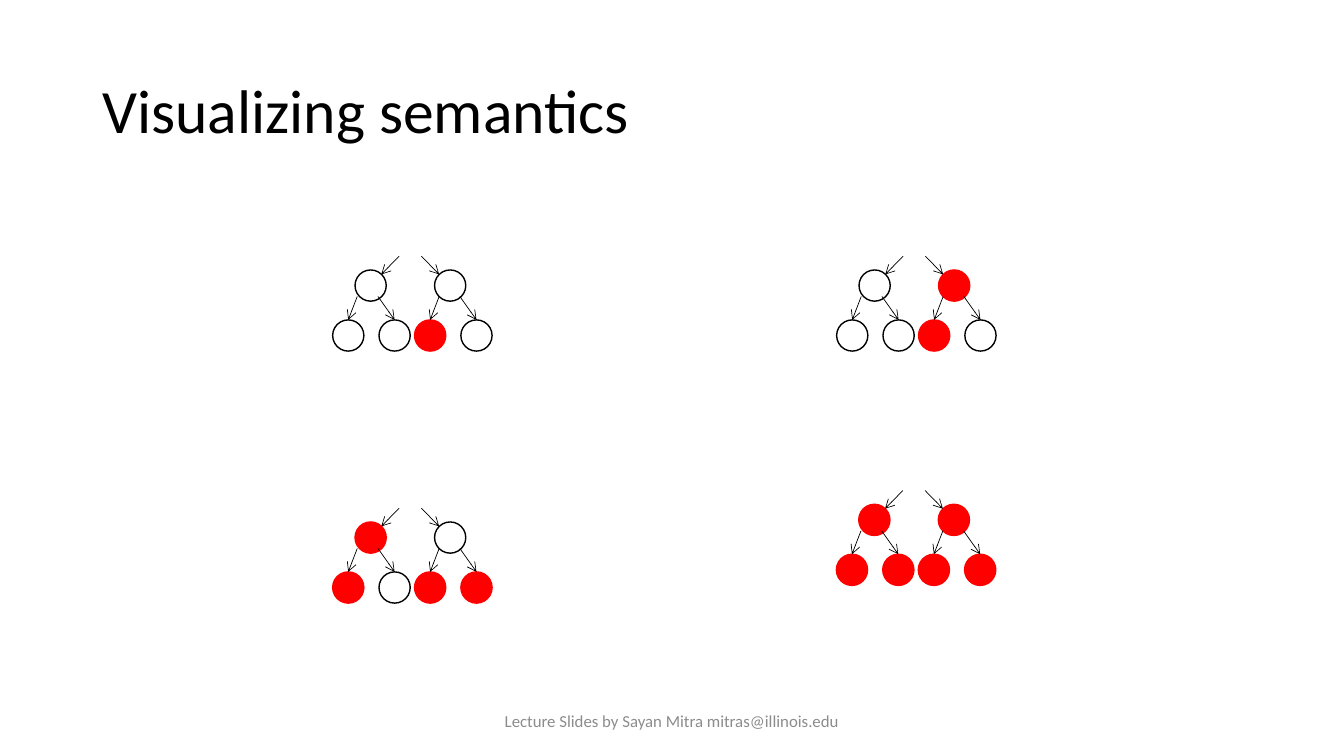
import pptx
import pptx.dml.color
import pptx.enum.shapes
import pptx.enum.text
import pptx.oxml
import pptx.util
from pptx.util import Pt

BLACK = pptx.dml.color.RGBColor(0x00, 0x00, 0x00)
RED = pptx.dml.color.RGBColor(0xFF, 0x00, 0x00)
GRAY = pptx.dml.color.RGBColor(0x8C, 0x8C, 0x8C)
FONT = "Calibri"

NODE_SIZE = 22.3
ROOT_TOP = 9.8
LEAF_TOP = 45.5
LEAF_GAP = 33.1

# Per subtree: left edge, root left, and the arrow into the root (start x, end x)
SUBTREES = [
    (0, 16, (47.5, 34.8)),
    (58.5, 72.8, (63.4, 76.1)),
]

# Per tree: left, top, and the red nodes of each subtree (root, left leaf, right leaf)
TREES = [
    (237.6, 183, [(False, False, False), (False, True, False)]),
    (597.6, 183, [(False, False, False), (True, True, False)]),
    (237.6, 363, [(True, True, False), (False, True, True)]),
    (597.4, 350.4, [(True, True, True), (True, True, True)]),
]


def add_text(slide, text, left, top, width, height, size, color, align):
    box = slide.shapes.add_textbox(Pt(left), Pt(top), Pt(width), Pt(height))
    frame = box.text_frame
    frame.word_wrap = True
    frame.vertical_anchor = pptx.enum.text.MSO_ANCHOR.MIDDLE
    frame.text = text
    para = frame.paragraphs[0]
    para.alignment = align
    para.font.size = Pt(size)
    para.font.name = FONT
    para.font.color.rgb = color
    return para


def add_node(slide, left, top, is_red):
    node = slide.shapes.add_shape(
        pptx.enum.shapes.MSO_SHAPE.OVAL,
        Pt(left), Pt(top), Pt(NODE_SIZE), Pt(NODE_SIZE))
    node.shadow.inherit = False
    if is_red:
        node.fill.solid()
        node.fill.fore_color.rgb = RED
    else:
        node.fill.background()
    node.line.color.rgb = RED if is_red else BLACK
    node.line.width = Pt(1)
    return node


def add_arrow(slide, start_x, start_y, end_x, end_y):
    arrow = slide.shapes.add_connector(
        pptx.enum.shapes.MSO_CONNECTOR.STRAIGHT,
        Pt(start_x), Pt(start_y), Pt(end_x), Pt(end_y))
    arrow.line.color.rgb = BLACK
    arrow.line.width = Pt(0.5)
    head = pptx.oxml.xmlchemy.OxmlElement("a:tailEnd")
    head.set("type", "arrow")
    arrow.line._get_or_add_ln().append(head)
    arrow._element.spPr.append(pptx.oxml.xmlchemy.OxmlElement("a:effectLst"))
    return arrow


def add_tree(slide, left, top, red_nodes):
    """Draw two subtrees, each a root with an incoming arrow and two leaves."""
    for (offset, root_left, entry), reds in zip(SUBTREES, red_nodes):
        root_red, *leaf_reds = reds
        add_node(slide, left + root_left, top + ROOT_TOP, root_red)
        add_arrow(slide, left + entry[0], top, left + entry[1], top + 13)
        for index, leaf_red in enumerate(leaf_reds):
            leaf_left = left + offset + index * LEAF_GAP
            leaf = add_node(slide, leaf_left, top + LEAF_TOP, leaf_red)
            branch_x = left + offset + (17.6, 32.4)[index]
            arrow = add_arrow(slide, branch_x, top + 28.8,
                              leaf_left + NODE_SIZE / 2, top + LEAF_TOP)
            arrow.end_connect(leaf, 0)


def main():
    deck = pptx.Presentation()
    deck.slide_width = Pt(960)
    deck.slide_height = Pt(540)
    slide = deck.slides.add_slide(deck.slide_layouts[6])

    title = add_text(slide, "Visualizing semantics", 66, 28.8, 828, 104.4,
                     44, BLACK, pptx.enum.text.PP_ALIGN.LEFT)
    title.line_spacing = 0.9
    for left, top, red_nodes in TREES:
        add_tree(slide, left, top, red_nodes)
    add_text(slide, "Lecture Slides by Sayan Mitra mitras@illinois.edu",
             318, 500.5, 324, 28.8, 12, GRAY, pptx.enum.text.PP_ALIGN.CENTER)

    deck.save("out.pptx")


if __name__ == "__main__":
    main()
